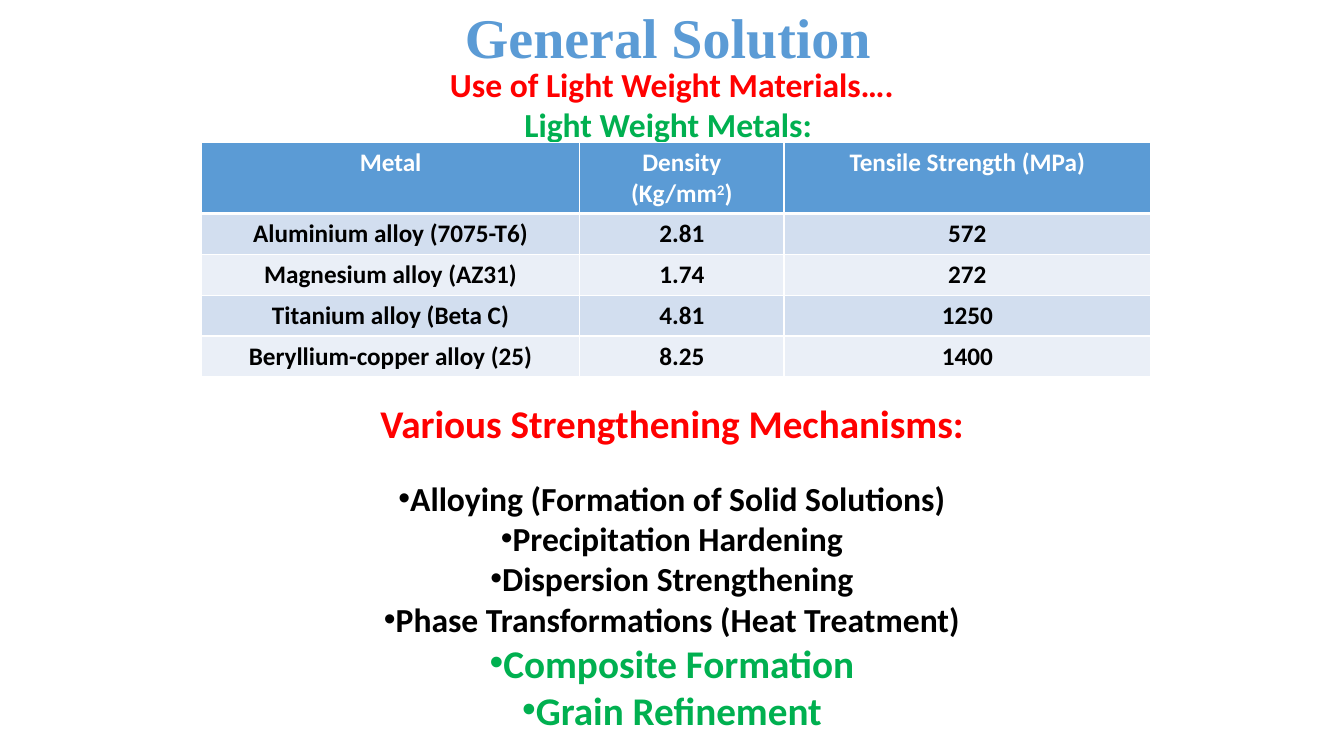
from lxml import etree
from pptx import Presentation
from pptx import util as u
from pptx.dml import color
from pptx.enum import text
from pptx.oxml import ns

BLUE, RED, GREEN, BLACK, WHITE = "5B9BD5", "FF0000", "00B050", "000000", "FFFFFF"
BANDS = ["D2DEEF", "EAEFF7"]
COLUMN_WIDTHS = [270, 146, 262]
ROW_HEIGHT = 29.2
METALS = [
    ("Metal", "Density (Kg/mm^2^)", "Tensile Strength (MPa)"),
    ("Aluminium alloy (7075-T6)", "2.81", "572"),
    ("Magnesium alloy (AZ31)", "1.74", "272"),
    ("Titanium alloy (Beta C)", "4.81", "1250"),
    ("Beryllium-copper alloy (25)", "8.25", "1400"),
]
MECHANISMS = [
    "Alloying (Formation of Solid Solutions)",
    "Precipitation Hardening",
    "Dispersion Strengthening",
    "Phase Transformations (Heat Treatment)",
]
FAVOURED = ["Composite Formation", "Grain Refinement"]


def rgb(value):
    """Turn a hex string into a colour."""
    return color.RGBColor.from_string(value)


def write(frame, words, size=24, hue=BLACK, font="Calibri", bullet=False, before=0, spacing=None):
    """Add a bold centred paragraph; words between carets are superscript."""
    para = frame.paragraphs[0]
    if para.runs:
        para = frame.add_paragraph()
    para.alignment = text.PP_ALIGN.CENTER
    if before:
        para.space_before = u.Pt(before)
    if spacing:
        para.line_spacing = spacing
    if bullet:
        props = para._p.get_or_add_pPr()
        props.set("marL", "0")
        props.set("indent", "0")
        etree.SubElement(props, ns.qn("a:buFont")).set("typeface", "Arial")
        etree.SubElement(props, ns.qn("a:buChar")).set("char", "•")
    for index, part in enumerate(words.split("^")):
        span = para.add_run()
        span.text = part
        span.font.name, span.font.size, span.font.bold = font, u.Pt(size), True
        span.font.color.rgb = rgb(hue)
        if index % 2:
            span._r.get_or_add_rPr().set("baseline", "30000")


def add_frame(page, box, grow=True):
    """Add a wrapping text box and return its text frame."""
    frame = page.shapes.add_textbox(*map(u.Pt, box)).text_frame
    frame.word_wrap = True
    frame.auto_size = text.MSO_AUTO_SIZE.SHAPE_TO_FIT_TEXT if grow else text.MSO_AUTO_SIZE.NONE
    return frame


def add_title(page, box):
    """Place the slide title at the bottom of its box."""
    frame = add_frame(page, box, grow=False)
    frame.vertical_anchor = text.MSO_ANCHOR.BOTTOM
    write(frame, "General Solution", size=40, hue=BLUE, font="Times New Roman", spacing=0.9)


def add_subtitle(page, box):
    """Place the two lines that introduce the table."""
    frame = add_frame(page, box)
    write(frame, "Use of Light Weight Materials….", hue=RED)
    write(frame, "Light Weight Metals: ", hue=GREEN)


def add_borders(cell, bottom):
    """Draw white cell borders, with the given bottom width in points."""
    props = cell._tc.get_or_add_tcPr()
    for index, (side, width) in enumerate([("L", 1), ("R", 1), ("T", 1), ("B", bottom)]):
        line = etree.Element(ns.qn(f"a:ln{side}"), w=str(u.Pt(width)))
        fill = etree.SubElement(line, ns.qn("a:solidFill"))
        etree.SubElement(fill, ns.qn("a:srgbClr")).set("val", WHITE)
        props.insert(index, line)


def add_metals(page, box):
    """Place the table of light metals."""
    holder = page.shapes.add_table(len(METALS), len(COLUMN_WIDTHS), *map(u.Pt, box))
    table = holder.table
    for column, width in zip(table.columns, COLUMN_WIDTHS):
        column.width = u.Pt(width)
    for index, values in enumerate(METALS):
        header = index == 0
        table.rows[index].height = u.Pt(ROW_HEIGHT)
        for cell, value in zip(table.rows[index].cells, values):
            cell.fill.solid()
            cell.fill.fore_color.rgb = rgb(BLUE if header else BANDS[(index - 1) % 2])
            add_borders(cell, 3 if header else 1)
            write(cell.text_frame, value, size=18, hue=WHITE if header else BLACK)
    holder.height = u.Pt(box[3])


def add_mechanisms(page, box):
    """Place the heading and bullets of the strengthening mechanisms."""
    frame = add_frame(page, box)
    write(frame, "Various Strengthening Mechanisms:", size=28, hue=RED)
    for index, words in enumerate(MECHANISMS):
        write(frame, words, bullet=True, before=0 if index else 22)
    for words in FAVOURED:
        write(frame, words, size=28, hue=GREEN, bullet=True)


def main():
    """Build the slide and save it."""
    deck = Presentation()
    deck.slide_width, deck.slide_height = u.Pt(960), u.Pt(540)
    page = deck.slides.add_slide(deck.slide_layouts[6])
    add_title(page, (204, 0, 546, 54))
    add_subtitle(page, (120, 42, 720, 65.4))
    add_metals(page, (144, 102, sum(COLUMN_WIDTHS), 167))
    add_mechanisms(page, (120, 282, 720, 269))
    deck.save("out.pptx")


if __name__ == "__main__":
    main()
